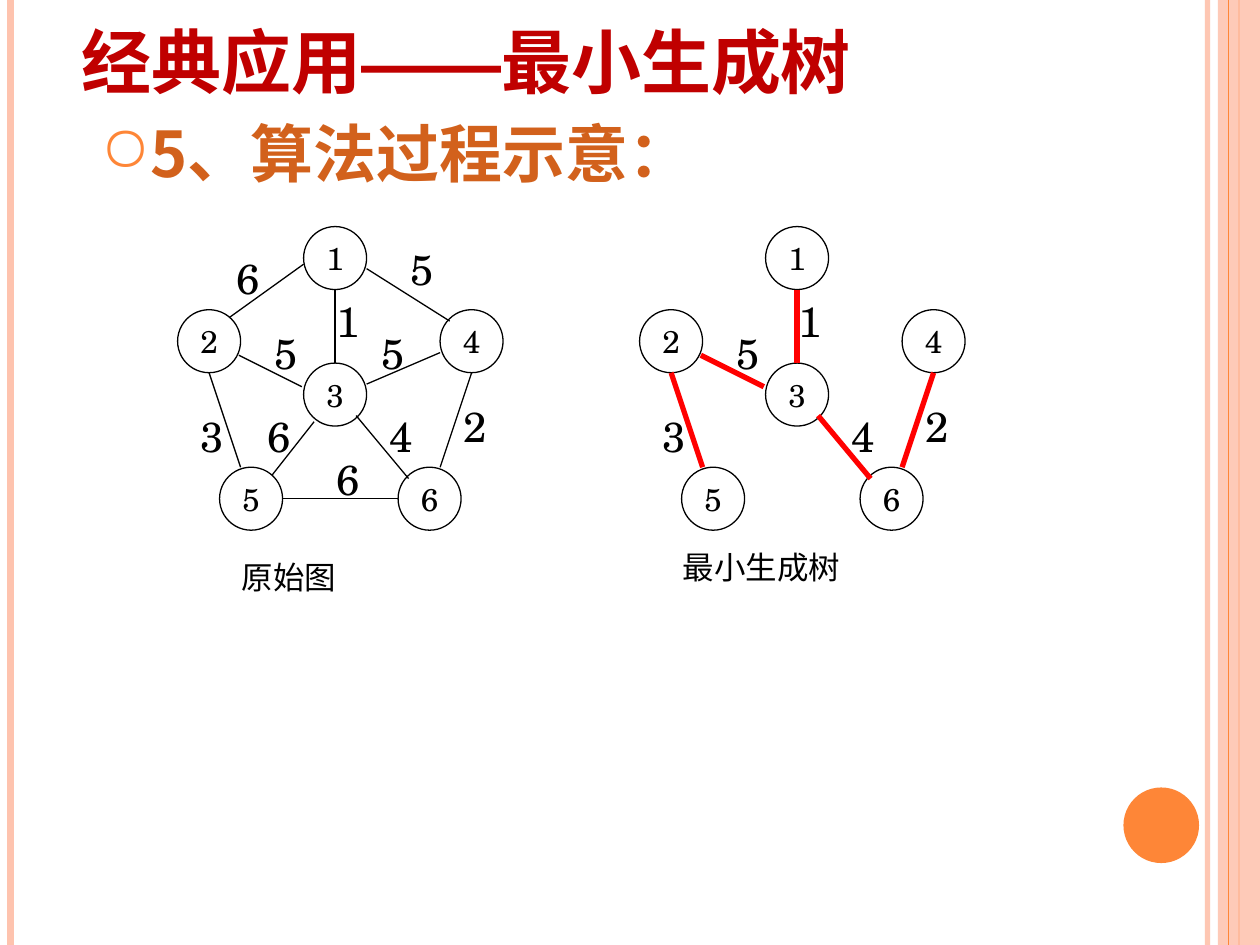
from lxml import etree
from pptx import Presentation
from pptx.dml.color import RGBColor
from pptx.enum import shapes, text
from pptx.oxml.ns import qn
from pptx.util import Pt

COLORS = {"ink": "000000", "title": "C00000", "heading": "D2611C",
          "accent": "FE8637", "pale": "FEC3AE", "tree": "FF0000"}
SERIF, SANS, DASH = "TeX Gyre Schola", "Noto Sans CJK SC", "Arial"

NODE_SIZE = 36
# Node number: left, top within the graph
NODES = {1: (72, 0), 2: (0, 47.5), 3: (72, 78),
         4: (150, 47.5), 5: (24, 137.5), 6: (126, 137.5)}
# Node pair: weight, line start, line end, label corner
EDGES = {
    (1, 2): (6, (29.5, 52), (72, 21.5), (26.5, 11.5)),
    (3, 5): (6, (54, 142), (78, 111.5), (44.5, 101.5)),
    (3, 4): (5, (108, 90), (150, 72), (109.5, 54)),
    (2, 3): (5, (35, 73.5), (71, 91.5), (48, 54)),
    (1, 4): (5, (108, 24), (155.5, 54), (126, 6)),
    (4, 6): (2, (150, 137.5), (168, 83.5), (156, 96)),
    (2, 5): (3, (36, 137.5), (18, 83.5), (6, 101.5)),
    (5, 6): (6, (60, 155.5), (126, 155.5), (83.5, 126)),
    (1, 3): (1, (90, 78), (90, 36), (83.5, 36)),
    (3, 6): (4, (102, 108), (132, 144), (114, 101.5)),
}
TREE = [(2, 3), (4, 6), (2, 5), (1, 3), (3, 6)]


def rgb(color):
    return RGBColor.from_string(COLORS[color])


def set_face(font, latin, asian):
    font.name = latin
    etree.SubElement(font._element, qn("a:ea"), typeface=asian)


def set_font(font, size, color, bold=False, latin=SERIF):
    font.size, font.bold = Pt(size), bold
    font.color.rgb = rgb(color)
    set_face(font, latin, SANS)


def set_alpha(owner, percent):
    """Make every solid colour inside the element partly transparent."""
    for color in owner.iter(qn("a:srgbClr")):
        etree.SubElement(color, qn("a:alpha"), val=str(percent * 1000))


def add_line(page, start, end, color, width):
    line = page.shapes.add_connector(
        shapes.MSO_CONNECTOR.STRAIGHT, *(Pt(n) for n in (*start, *end)))
    line.line.color.rgb = rgb(color)
    line.line.width = Pt(width)
    etree.SubElement(line._element.spPr, qn("a:effectLst"))
    return line


def add_shape(page, kind, box, fill=None):
    shape = page.shapes.add_shape(kind, *(Pt(n) for n in box))
    shape.shadow.inherit = False
    shape.line.fill.background()
    if fill:
        shape.fill.solid()
        shape.fill.fore_color.rgb = rgb(fill)
    else:
        shape.fill.background()
    return shape


def add_text(page, box, words=""):
    frame = page.shapes.add_textbox(*(Pt(n) for n in box)).text_frame
    frame.word_wrap = True
    para = frame.paragraphs[0]
    para.text = words
    return frame, para


def add_border(page, width, height):
    for x, color, weight, alpha in ((690, "pale", 3, 93), (6, "pale", 4.5, 100),
                                    (708, "accent", 1.5, 100)):
        line = add_line(page, (x, 0), (x, height), color, weight)
        if alpha < 100:
            set_alpha(line._element, alpha)
    band = add_shape(page, shapes.MSO_SHAPE.RECTANGLE,
                     (width - 24, 0, 24, height), "pale")
    set_alpha(band._element, 87)
    add_line(page, (702, 0), (702, height), "accent", 0.75)
    add_shape(page, shapes.MSO_SHAPE.OVAL, (642, 450, 43.2, 43.2), "accent")


def add_title(page, box):
    frame, para = add_text(page, box)
    frame.vertical_anchor = text.MSO_ANCHOR.BOTTOM
    set_font(para.font, 40, "title", bold=True)
    for words, latin, asian in (("经典应用", SERIF, SANS), ("——", DASH, DASH),
                                ("最小生成树", SERIF, SANS)):
        span = para.add_run()
        span.text = words
        set_face(span.font, latin, asian)


def add_heading(page, box):
    _, para = add_text(page, box, "5、算法过程示意：")
    layout = para._p.get_or_add_pPr()
    layout.set("marL", str(Pt(21.6)))
    layout.set("indent", str(-Pt(21.6)))
    tint = etree.SubElement(layout, qn("a:buClr"))
    etree.SubElement(tint, qn("a:srgbClr"), val=COLORS["accent"])
    etree.SubElement(layout, qn("a:buChar"), char="○")
    set_font(para.font, 36, "heading", bold=True, latin=SANS)


def add_node(page, left, top, number):
    node = add_shape(page, shapes.MSO_SHAPE.OVAL,
                     (left, top, NODE_SIZE, NODE_SIZE))
    node.line.color.rgb = rgb("ink")
    node.line.width = Pt(0.75)
    frame = node.text_frame
    frame.word_wrap = False
    frame.vertical_anchor = text.MSO_ANCHOR.MIDDLE
    para = frame.paragraphs[0]
    para.text = str(number)
    para.alignment = text.PP_ALIGN.CENTER
    set_font(para.font, 18, "ink")


def add_graph(page, left, top, pairs, color, width):
    def place(point):
        return left + point[0], top + point[1]

    for number, corner in NODES.items():
        add_node(page, *place(corner), number)
    for pair in pairs:
        weight, start, end, corner = EDGES[pair]
        add_line(page, place(start), place(end), color, width)
        _, para = add_text(page, (*place(corner), 24, 36), str(weight))
        set_font(para.font, 24, "ink")


def add_caption(page, box, words):
    _, para = add_text(page, box, words)
    set_font(para.font, 18, "ink")


def main():
    deck = Presentation()
    deck.slide_width, deck.slide_height = Pt(720), Pt(540)
    page = deck.slides.add_slide(deck.slide_layouts[6])
    add_border(page, 720, 540)
    add_title(page, (39.6, -28, 588, 90))
    add_heading(page, (50.4, 62, 468, 60))
    add_graph(page, 101.5, 129.5, EDGES, "ink", 0.75)
    add_caption(page, (131, 315.5, 126, 29), "原始图")
    add_graph(page, 365.5, 129.5, TREE, "tree", 3)
    add_caption(page, (383, 309.5, 156, 29), "最小生成树")
    deck.save("out.pptx")


if __name__ == "__main__":
    main()
